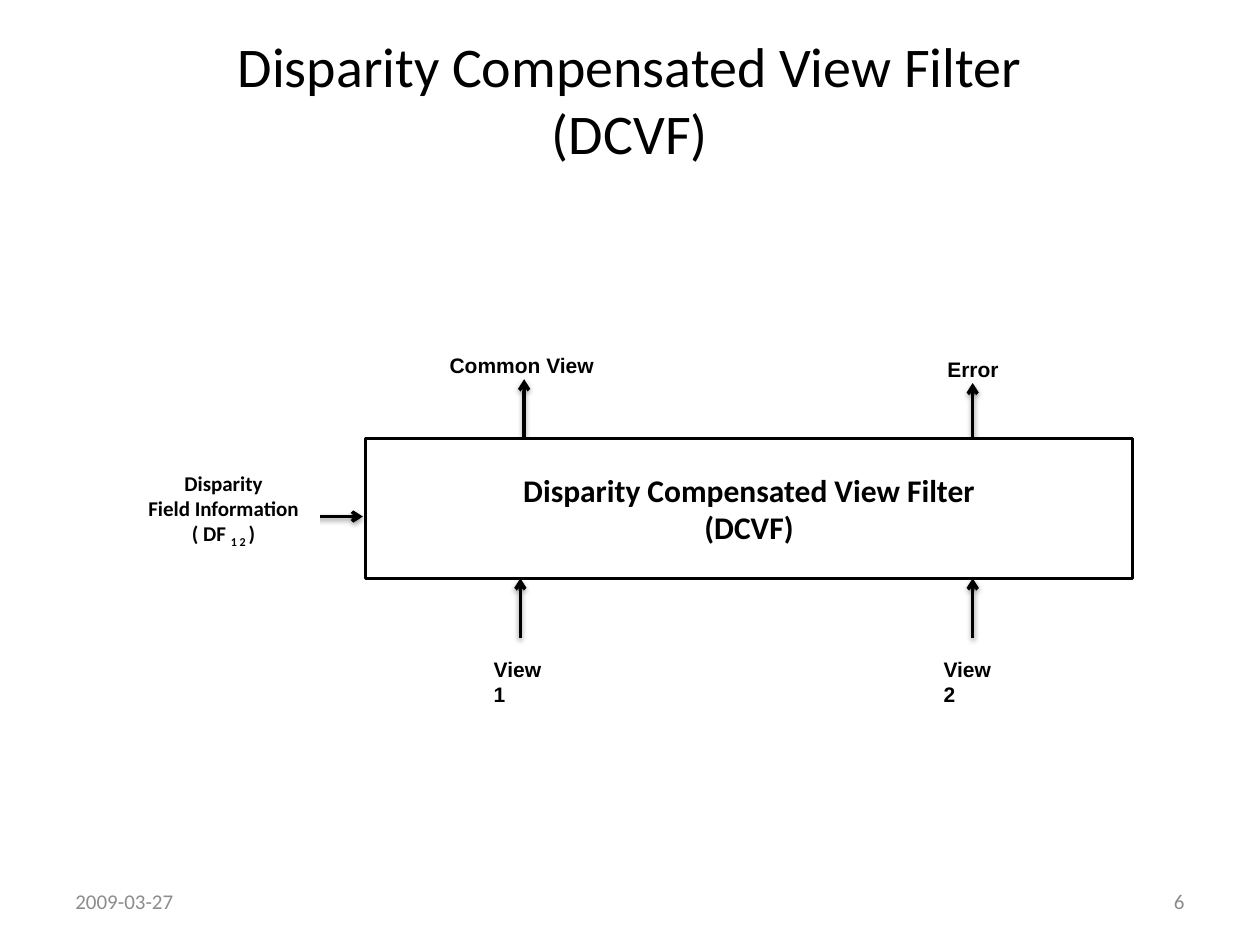
import pptx
import pptx.dml.color
import pptx.enum.shapes
import pptx.enum.text
import pptx.oxml
import pptx.oxml.ns
import pptx.util

Inches = pptx.util.Inches
Pt = pptx.util.Pt
ALIGN = pptx.enum.text.PP_ALIGN
ANCHOR = pptx.enum.text.MSO_ANCHOR
BLACK = pptx.dml.color.RGBColor(0x00, 0x00, 0x00)
WHITE = pptx.dml.color.RGBColor(0xFF, 0xFF, 0xFF)
GREY = pptx.dml.color.RGBColor(0x8C, 0x8C, 0x8C)
LINE_WIDTH = Pt(2)
SUBSCRIPT = "-25000"

ARROW_SHADOW = (
    f'<a:effectLst {pptx.oxml.ns.nsdecls("a")}>'
    f'<a:outerShdw blurRad="{Pt(3.1)}" dist="{Pt(1.6)}" dir="5400000" rotWithShape="0">'
    '<a:srgbClr val="000000"><a:alpha val="38000"/></a:srgbClr>'
    '</a:outerShdw></a:effectLst>'
)
ARROWHEAD = f'<a:tailEnd {pptx.oxml.ns.nsdecls("a")} type="arrow"/>'


def add_run(paragraph, text, size, color=BLACK, font="Calibri", bold=False):
    run = paragraph.add_run()
    run.text = text
    run.font.size = Pt(size)
    run.font.name = font
    run.font.bold = bold
    run.font.color.rgb = color
    return run


def add_label(slide, box, text, wrap=True, align=ALIGN.LEFT, anchor=ANCHOR.TOP, **style):
    """One-paragraph text box; a newline in the text becomes a line break."""
    frame = slide.shapes.add_textbox(*map(Inches, box)).text_frame
    frame.word_wrap = wrap
    frame.vertical_anchor = anchor
    paragraph = frame.paragraphs[0]
    paragraph.alignment = align
    for index, line in enumerate(text.split("\n")):
        if index:
            paragraph.add_line_break()
        add_run(paragraph, line, **style)


def add_block(slide, box, lines, size, outlined):
    """White rectangle with centred bold lines; returns its paragraphs."""
    block = slide.shapes.add_shape(
        pptx.enum.shapes.MSO_SHAPE.RECTANGLE, *map(Inches, box))
    block.shadow.inherit = False
    block.fill.solid()
    block.fill.fore_color.rgb = WHITE
    if outlined:
        block.line.color.rgb = BLACK
        block.line.width = LINE_WIDTH
    else:
        block.line.fill.background()
    frame = block.text_frame
    frame.word_wrap = True
    frame.vertical_anchor = ANCHOR.MIDDLE
    for index, line in enumerate(lines):
        paragraph = frame.add_paragraph() if index else frame.paragraphs[0]
        paragraph.alignment = ALIGN.CENTER
        add_run(paragraph, line, size, bold=True)
    return frame.paragraphs


def add_arrow(slide, start, end):
    arrow = slide.shapes.add_connector(
        pptx.enum.shapes.MSO_CONNECTOR.STRAIGHT, *map(Inches, start + end))
    arrow.line.color.rgb = BLACK
    arrow.line.width = LINE_WIDTH
    arrow.line._get_or_add_ln().append(pptx.oxml.parse_xml(ARROWHEAD))
    arrow._element.spPr.append(pptx.oxml.parse_xml(ARROW_SHADOW))


def add_title(slide, box):
    add_label(slide, box, "Disparity Compensated View Filter\n(DCVF)",
              align=ALIGN.CENTER, anchor=ANCHOR.MIDDLE, size=32)


def add_filter_diagram(slide, box):
    left, top, width, height = box
    bottom = top + height

    # Output arrows start behind the filter block
    for x, start_y, tip_y in ((7.72, 3.97, 3.04), (4.16, 3.95, 3.01)):
        add_arrow(slide, (x, start_y), (x, tip_y))
    add_block(slide, box, ("Disparity Compensated View Filter", "(DCVF)"), 18, True)

    # Disparity input: its arrow starts behind the field label
    add_arrow(slide, (left - 0.86, 4.1), (left - 0.02, 4.1))
    field_lines = add_block(slide, (1.01, 3.67, 1.53, 0.75),
                            ("Disparity", "Field Information", "( DF "), 12, False)
    indices = add_run(field_lines[-1], "1 2 ", 12, bold=True)
    indices.font._element.set("baseline", SUBSCRIPT)
    add_run(field_lines[-1], ")", 12, bold=True)

    # View inputs
    for x in (4.13, 7.72):
        add_arrow(slide, (x, bottom + 0.47), (x, bottom))

    # Input and output labels
    labels = (
        ("View 1", (3.82, 5.16, 0.65, 0.23), True),
        ("View 2", (7.39, 5.16, 0.65, 0.23), True),
        ("Common View", (3.47, 2.75, 1.41, 0.3), False),
        ("Error", (7.42, 2.78, 0.61, 0.3), False),
    )
    for text, label_box, wrap in labels:
        add_label(slide, label_box, text, wrap=wrap, size=12, font="Arial", bold=True)


def add_footer(slide, box):
    left, top, width, height = box
    field_width = 2.33
    for text, x, align in (("2009-03-27", left, ALIGN.LEFT),
                           ("6", left + width - field_width, ALIGN.RIGHT)):
        add_label(slide, (x, top, field_width, height), text, align=align,
                  anchor=ANCHOR.MIDDLE, size=12, color=GREY)


def main():
    deck = pptx.Presentation()
    deck.slide_width = Inches(10)
    deck.slide_height = Inches(7.5)
    slide = deck.slides.add_slide(deck.slide_layouts[6])
    add_title(slide, (0.5, 0.16, 9, 1.25))
    add_filter_diagram(slide, (2.9, 3.48, 6.09, 1.11))
    add_footer(slide, (0.5, 6.95, 9, 0.4))
    deck.save("out.pptx")


if __name__ == "__main__":
    main()
